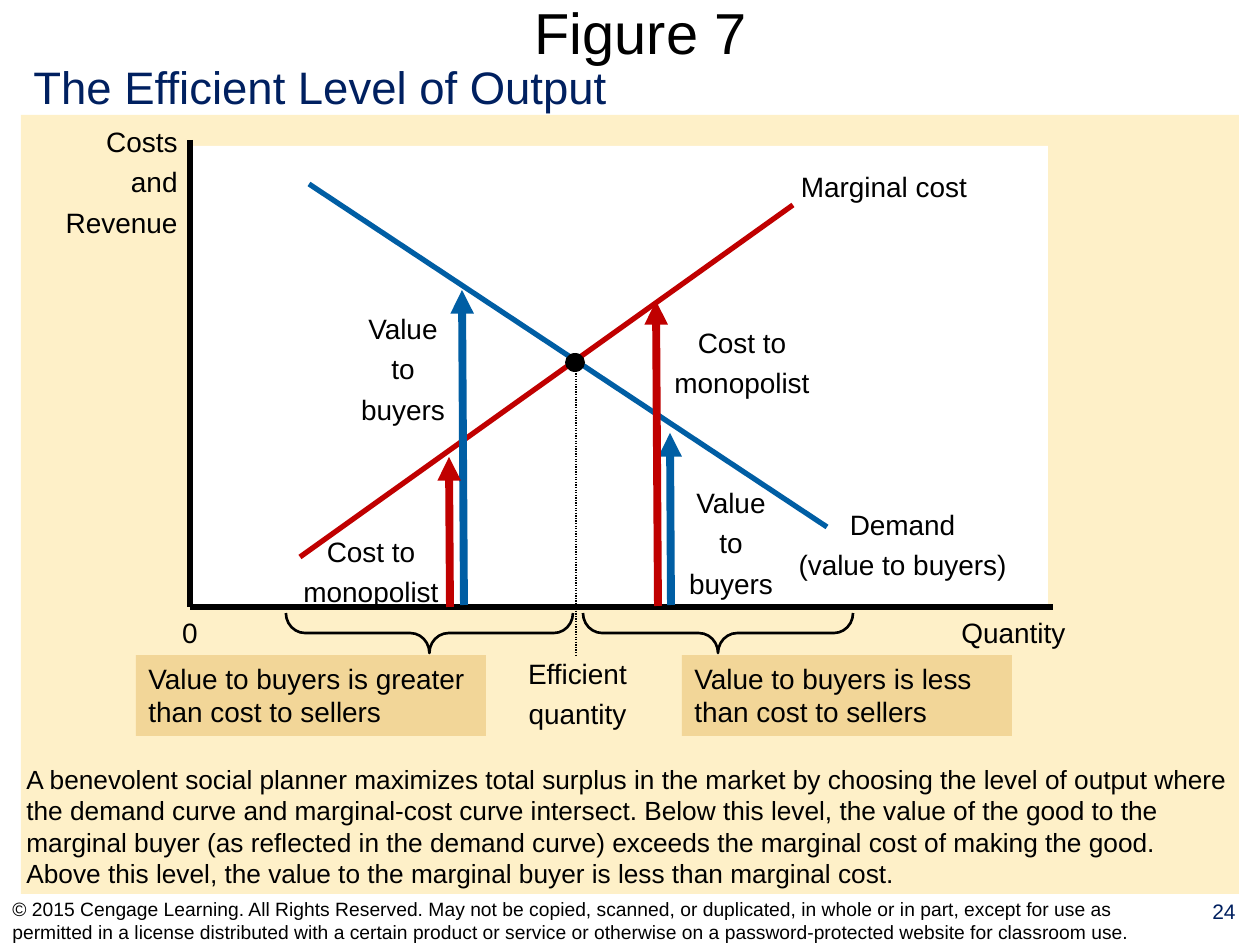
from dataclasses import dataclass

from lxml.etree import SubElement
from pptx import Presentation
from pptx.dml.color import RGBColor
from pptx.enum.dml import MSO_LINE
from pptx.enum.shapes import MSO_CONNECTOR, MSO_SHAPE
from pptx.enum.text import MSO_ANCHOR, MSO_AUTO_SIZE, PP_ALIGN
from pptx.oxml.ns import qn
from pptx.util import Pt

EMU_PER_PX = 914400 / 126
LEFT, CENTER, RIGHT = PP_ALIGN.LEFT, PP_ALIGN.CENTER, PP_ALIGN.RIGHT


@dataclass(frozen=True)
class Theme:
    font: str = "Arial"
    black: str = "000000"
    white: str = "FFFFFF"
    navy: str = "002060"
    panel: str = "FEF0C8"
    note: str = "F2D698"
    demand: str = "005EA4"
    cost: str = "C00000"
    title: int = 33
    subtitle: int = 26
    label: int = 16
    body: int = 15
    number: int = 12
    small: int = 11
    gap: int = 4
    curve: float = 3
    arrow: float = 4.5
    brace: float = 1.5
    guide: float = 0.75


T = Theme()


def px(n):
    return round(n * EMU_PER_PX)


def rgb(color):
    return RGBColor.from_string(color)


def apply(obj, formats):
    for name, value in formats.items():
        setattr(obj, name, value)


def place(shape, box):
    apply(shape, dict(zip(("left", "top", "width", "height"), map(px, box))))


def write(shape, text, size=T.label, color=T.black, align=CENTER,
          anchor=MSO_ANCHOR.TOP, wrap=True):
    """Fill a shape with text, one paragraph to each line of the string."""
    tf = shape.text_frame
    apply(tf, {"word_wrap": wrap, "vertical_anchor": anchor,
               "auto_size": MSO_AUTO_SIZE.NONE})
    tf.text = text
    for i, p in enumerate(tf.paragraphs):
        apply(p, {"alignment": align, "space_before": Pt(T.gap if i else 0)})
        apply(p.font, {"name": T.font, "size": Pt(size)})
        p.font.color.rgb = rgb(color)


def add_text(s, box, text, **formats):
    write(s.shapes.add_textbox(*map(px, box)), text, **formats)


def add_label(s, box, text, align=CENTER):
    add_text(s, box, text, align=align, wrap=False)


def add_filled(s, kind, box, color):
    sp = s.shapes.add_shape(kind, *map(px, box))
    sp.shadow.inherit = False
    sp.fill.solid()
    sp.fill.fore_color.rgb = rgb(color)
    sp.line.fill.background()
    return sp


def add_line(s, start, end, color=T.black, width=T.curve, dash=None, arrow=False):
    line = s.shapes.add_connector(MSO_CONNECTOR.STRAIGHT, *map(px, start + end))
    apply(line.line, {"width": Pt(width), "dash_style": dash})
    line.line.color.rgb = rgb(color)
    if arrow:
        SubElement(line.line._get_or_add_ln(), qn("a:tailEnd"), type="triangle")
    SubElement(line._element.spPr, qn("a:effectLst"))


def add_brace(s, left, top, width, height):
    """Add a left brace, turned so that its tip points down."""
    x, y = left + (width - height) / 2, top + (height - width) / 2
    sp = s.shapes.add_shape(MSO_SHAPE.LEFT_BRACE, *map(px, (x, y, height, width)))
    sp.rotation = 270
    sp.adjustments[0] = 0.48
    sp.shadow.inherit = False
    sp.fill.background()
    sp.line.color.rgb = rgb(T.black)
    sp.line.width = Pt(T.brace)


def add_headings(s):
    title = s.shapes.title
    place(title, (44, 0, 1193, 62))
    write(title, "Figure 7", size=T.title, anchor=MSO_ANCHOR.MIDDLE)
    add_text(s, (21, 53, 600, 68), "The Efficient Level of Output",
             size=T.subtitle, color=T.navy, align=LEFT, wrap=False)


def add_axes(s):
    add_filled(s, MSO_SHAPE.RECTANGLE, (191, 146, 857, 461), T.white)
    origin = (190, 607)
    add_line(s, (190, 140), origin)
    add_line(s, origin, (1053, 607))
    add_label(s, (53, 118, 137, 127), "Costs\nand\nRevenue", RIGHT)
    add_label(s, (949, 609, 129, 47), "Quantity")
    add_label(s, (170, 609, 40, 47), "0")


def add_curves(s):
    add_line(s, (309, 184), (827, 527), T.demand)
    add_label(s, (786, 501, 233, 87), "Demand\n(value to buyers)")
    add_line(s, (576, 358), (576, 655), width=T.guide, dash=MSO_LINE.ROUND_DOT)
    add_label(s, (515, 650, 125, 87), "Efficient\nquantity")
    add_line(s, (300, 557), (793, 205), T.cost)
    add_label(s, (788, 163, 192, 47), "Marginal cost")


def add_value_arrows(s):
    value, cost = "Value\nto\nbuyers", "Cost to\nmonopolist"
    for start, end, color, box, text in (
        ((464, 605), (462, 290), T.demand, (349, 305, 108, 127), value),
        ((671, 605), (670, 433), T.demand, (677, 479, 108, 127), value),
        ((658, 606), (656, 301), T.cost, (662, 319, 160, 87), cost),
        ((450, 607), (449, 457), T.cost, (291, 528, 160, 87), cost),
    ):
        add_line(s, start, end, color, T.arrow, arrow=True)
        add_label(s, box, text)


def add_notes_below_axis(s):
    for brace_left, brace_width, left, width, word in (
        (286, 287, 136, 350, "greater"),
        (583, 270, 682, 330, "less"),
    ):
        add_brace(s, brace_left, 613, brace_width, 40)
        note = add_filled(s, MSO_SHAPE.RECTANGLE, (left, 655, width, 81), T.note)
        write(note, f"Value to buyers is {word} than cost to sellers", align=LEFT)


def add_explanation(s):
    add_text(
        s, (14, 757, 1231, 139),
        "A benevolent social planner maximizes total surplus in the market by "
        "choosing the level of output where the demand curve and marginal-cost "
        "curve intersect. Below this level, the value of the good to the marginal "
        "buyer (as reflected in the demand curve) exceeds the marginal cost of "
        "making the good. Above this level, the value to the marginal buyer is "
        "less than marginal cost.",
        size=T.body, align=LEFT)


def add_footer(s):
    add_text(s, (1188, 892, 72, 52), "24", size=T.number, color=T.navy)
    add_text(
        s, (0, 895, 1187, 50),
        "© 2015 Cengage Learning. All Rights Reserved. May not be copied, scanned, "
        "or duplicated, in whole or in part, except for use as permitted in a "
        "license distributed with a certain product or service or otherwise on a "
        "password-protected website for classroom use.",
        size=T.small, align=LEFT, anchor=MSO_ANCHOR.MIDDLE)


def main():
    prs = Presentation()
    prs.slide_width, prs.slide_height = px(1260), px(945)
    s = prs.slides.add_slide(prs.slide_layouts[5])
    panel = add_filled(s, MSO_SHAPE.RECTANGLE, (21, 115, 1218, 779), T.panel)
    s.shapes._spTree.insert(2, panel._element)
    add_headings(s)
    add_axes(s)
    add_curves(s)
    add_value_arrows(s)
    add_notes_below_axis(s)
    add_filled(s, MSO_SHAPE.OVAL, (565, 353, 20, 19), T.black)
    add_explanation(s)
    add_footer(s)
    prs.save("out.pptx")


if __name__ == "__main__":
    main()
